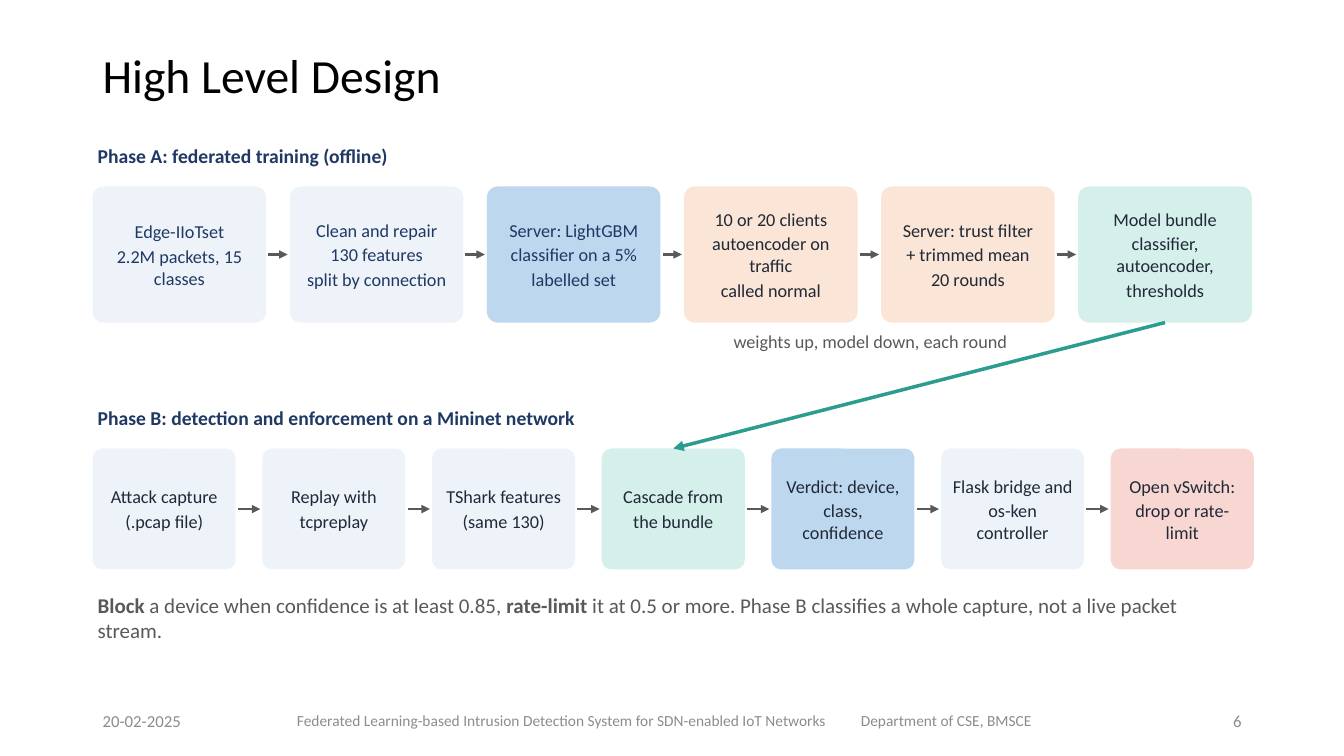
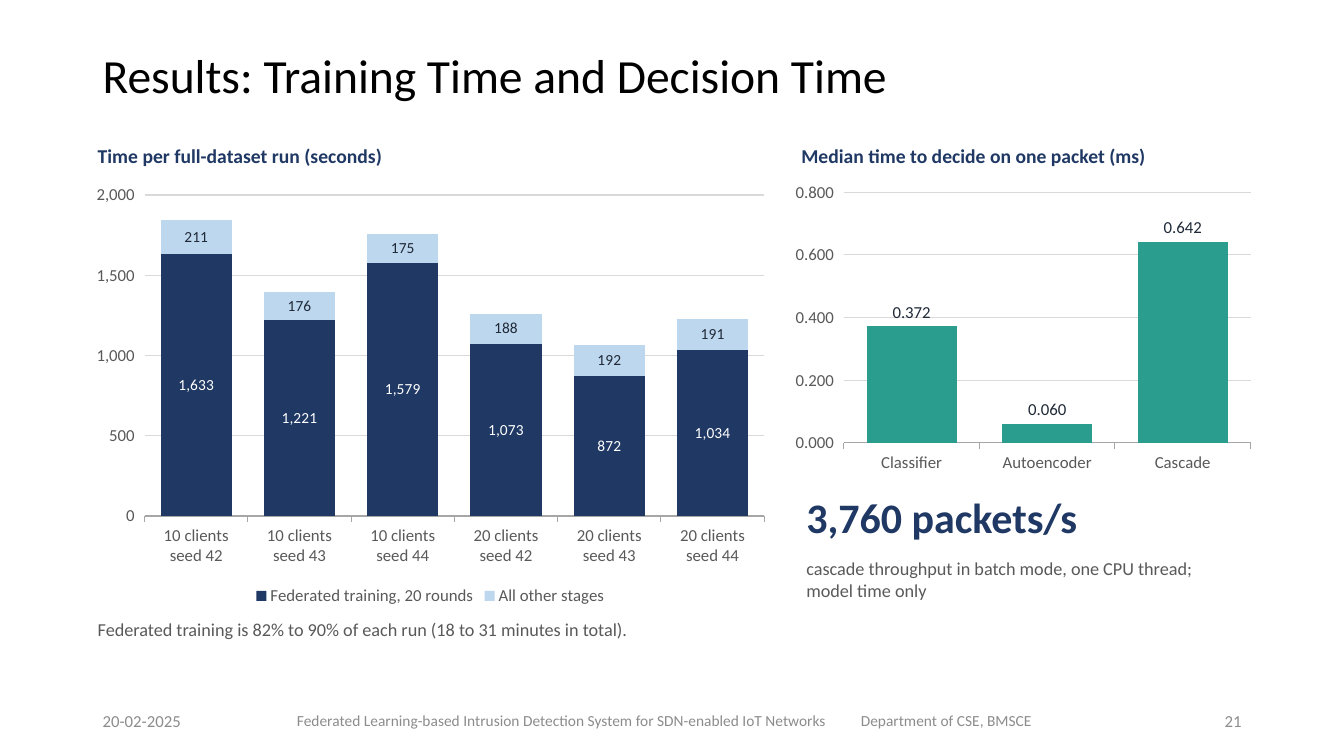
from lxml import etree
from pptx import Presentation
from pptx.chart.data import CategoryChartData
from pptx.dml.color import RGBColor
from pptx.enum.chart import XL_CHART_TYPE as CT, XL_LABEL_POSITION as LP, XL_LEGEND_POSITION
from pptx.enum.shapes import MSO_CONNECTOR as MC, MSO_SHAPE as MS
from pptx.enum.text import MSO_ANCHOR as MA, PP_ALIGN as PA
from pptx.oxml.ns import qn
from pptx.util import Pt

FONT = "Calibri"
NAVY, INK, GREY, MUTED = "1F3864", "1F2937", "595959", "8C8C8C"
TEAL, BLUE, PALE = "2A9D8F", "BDD7EE", "EEF3FA"
PEACH, MINT, ROSE = "FBE5D6", "D5EFEA", "F8D7D3"
AXIS, GRID = "A6A6A6", "D9D9D9"
LEFT, HEAD_Y = 66.2, 100.8
TIGHT = (3.6, 2.2)
ROOMY = (7.2, 3.6)

PHASE_A = [
    ("Edge-IIoTset\n2.2M packets, 15 classes", PALE, NAVY),
    ("Clean and repair\n130 features\nsplit by connection", PALE, NAVY),
    ("Server: LightGBM\nclassifier on a 5%\nlabelled set", BLUE, NAVY),
    ("10 or 20 clients\nautoencoder on traffic\ncalled normal", PEACH, INK),
    ("Server: trust filter\n+ trimmed mean\n20 rounds", PEACH, INK),
    ("Model bundle\nclassifier, autoencoder,\nthresholds", MINT, INK),
]
PHASE_B = [
    ("Attack capture\n(.pcap file)", PALE, INK),
    ("Replay with\ntcpreplay", PALE, INK),
    ("TShark features\n(same 130)", PALE, INK),
    ("Cascade from\nthe bundle", MINT, INK),
    ("Verdict: device,\nclass, confidence", BLUE, INK),
    ("Flask bridge and\nos-ken controller", PALE, INK),
    ("Open vSwitch:\ndrop or rate-limit", ROSE, INK),
]
RULE = [("Block", True), (" a device when confidence is at least 0.85, ", False),
        ("rate-limit", True),
        (" it at 0.5 or more. Phase B classifies a whole capture, not a live packet stream.", False)]


def rgb(value):
    """Turn a hex string into a colour."""
    return RGBColor.from_string(value)


def style(font, size, color, bold=False):
    """Set the face, size, colour and weight of a font."""
    font.name, font.size, font.bold = FONT, Pt(size), bold
    font.color.rgb = rgb(color)


def frame(sp, inset, anchor):
    """Prepare a wrapping text frame with even insets."""
    tf = sp.text_frame
    tf.word_wrap, tf.vertical_anchor = True, anchor
    tf.margin_left = tf.margin_right = Pt(inset[0])
    tf.margin_top = tf.margin_bottom = Pt(inset[1])
    return tf


def format_text(tf, size, color, bold=False, align=PA.LEFT, after=0):
    """Format every paragraph and run of a text frame."""
    for p in tf.paragraphs:
        p.alignment, p.space_after = align, Pt(after)
        for r in p.runs:
            style(r.font, size, color, bold)


def add_text(s, text, x, y, w, h, size, color, bold=False, align=PA.LEFT,
             inset=TIGHT, anchor=MA.TOP):
    """Add a text box and return its frame."""
    sp = s.shapes.add_textbox(Pt(x), Pt(y), Pt(w), Pt(h))
    tf = frame(sp, inset, anchor)
    tf.text = text
    format_text(tf, size, color, bold, align)
    return tf


def add_heading(s, text, x, y, w):
    """Add a bold navy section heading."""
    add_text(s, text, x, y, w, 28.8, 14, NAVY, True)


def add_slide(prs, title, number):
    """Add a blank slide with its title and footer."""
    s = prs.slides.add_slide(prs.slide_layouts[6])
    tf = add_text(s, title, LEFT, 21.6, 785, 68.4, 34, "000000", inset=ROOMY, anchor=MA.MIDDLE)
    tf.paragraphs[0].line_spacing = 0.9
    for text, x, w, size, align in (
        ("20-02-2025", LEFT, 130, 12, PA.LEFT),
        ("Federated Learning-based Intrusion Detection System for SDN-enabled IoT Networks",
         205, 400, 11, PA.LEFT),
        ("Department of CSE, BMSCE", 607.8, 150, 11, PA.LEFT),
        (str(number), 794, 100, 12, PA.RIGHT),
    ):
        add_text(s, text, x, 500.4, w, 28.8, size, MUTED, align=align, inset=ROOMY, anchor=MA.MIDDLE)
    return s


def add_arrow(s, x1, y1, x2, y2, color, width):
    """Add a straight arrow without a shadow."""
    cx = s.shapes.add_connector(MC.STRAIGHT, Pt(x1), Pt(y1), Pt(x2), Pt(y2))
    cx.line.color.rgb, cx.line.width = rgb(color), Pt(width)
    etree.SubElement(cx.line._get_or_add_ln(), qn("a:tailEnd"), type="triangle")
    etree.SubElement(cx._element.spPr, qn("a:effectLst"))
    return cx


def add_box(s, text, x, y, w, h, fill, color):
    """Add a rounded step box."""
    sp = s.shapes.add_shape(MS.ROUNDED_RECTANGLE, Pt(x), Pt(y), Pt(w), Pt(h))
    sp.adjustments[0] = 0.08
    sp.shadow.inherit = False
    sp.fill.solid()
    sp.fill.fore_color.rgb = rgb(fill)
    sp.line.fill.background()
    tf = frame(sp, (5.8, 2.9), MA.MIDDLE)
    tf.text = text
    format_text(tf, 13, color, align=PA.CENTER, after=2)
    return sp


def add_flow(s, steps, y, w, h, gap):
    """Add a row of step boxes joined by short arrows."""
    boxes = []
    for i, (text, fill, color) in enumerate(steps):
        x = LEFT + i * (w + gap)
        if i:
            add_arrow(s, x - gap + 1.5, y + h / 2, x - 1.5, y + h / 2, GREY, 2)
        boxes.append(add_box(s, text, x, y, w, h, fill, color))
    return boxes


def add_columns(s, kind, box, cats, series, axis, gap, label_size, label_pos=None):
    """Add a column chart; each series is name, values, fill and label colour."""
    top, step, fmt = axis
    data = CategoryChartData()
    data.categories = cats
    for name, values, _, _ in series:
        data.add_series(name, values)
    chart = s.shapes.add_chart(kind, *map(Pt, box), data).chart
    style(chart.font, 12, GREY)
    chart.has_title = chart.has_legend = False
    plot = chart.plots[0]
    plot.gap_width, plot.vary_by_categories = gap, False
    if kind == CT.COLUMN_STACKED:
        plot.overlap = 100
    ca, va = chart.category_axis, chart.value_axis
    ca.format.line.color.rgb, ca.format.line.width = rgb(AXIS), Pt(0.75)
    va.minimum_scale, va.maximum_scale, va.major_unit = 0, top, step
    va.format.line.fill.background()
    grid = va.major_gridlines.format.line
    grid.color.rgb, grid.width = rgb(GRID), Pt(0.75)
    va.tick_labels.number_format, va.tick_labels.number_format_is_linked = fmt, False
    for ax in (ca, va):
        style(ax.tick_labels.font, 12, GREY)
    for ser, (_, _, fill, label_color) in zip(plot.series, series):
        ser.format.fill.solid()
        ser.format.fill.fore_color.rgb = rgb(fill)
        labels = ser.data_labels
        labels.show_value = True
        labels.number_format, labels.number_format_is_linked = fmt, False
        style(labels.font, label_size, label_color)
        if label_pos is not None:
            labels.position = label_pos
    return chart


def build_design(prs):
    """Build the two-phase design slide."""
    s = add_slide(prs, "High Level Design", 6)
    add_heading(s, "Phase A: federated training (offline)", LEFT, HEAD_Y, 432)
    training = add_flow(s, PHASE_A, 133.2, 124, 97.2, 16.8)
    add_text(s, "weights up, model down, each round", 489, 234, 265, 28.8, 13, GREY, align=PA.CENTER)
    add_heading(s, "Phase B: detection and enforcement on a Mininet network", LEFT, 288, 576)
    detection = add_flow(s, PHASE_B, 320.4, 102.2, 86.4, 19)
    handover = add_arrow(s, 832, 230, 481, 320, TEAL, 2.5)
    handover.begin_connect(training[-1], 2)
    handover.end_connect(detection[3], 0)
    tf = add_text(s, "", LEFT, 421.2, 828, 64.8, 15, GREY)
    for text, bold in RULE:
        r = tf.paragraphs[0].add_run()
        r.text = text
        style(r.font, 15, GREY, bold)


def build_results(prs):
    """Build the training and decision time slide."""
    s = add_slide(prs, "Results: Training Time and Decision Time", 21)
    add_heading(s, "Time per full-dataset run (seconds)", LEFT, HEAD_Y, 475)
    cats = [f"{n} clients\nseed {seed}" for n in (10, 20) for seed in (42, 43, 44)]
    chart = add_columns(
        s, CT.COLUMN_STACKED, (59, 126, 496.8, 309.6), cats,
        [("Federated training, 20 rounds", (1633, 1221, 1579, 1073, 872, 1034), NAVY, "FFFFFF"),
         ("All other stages", (211, 176, 175, 188, 192, 191), BLUE, INK)],
        (2000, 500, "#,##0"), 45, 11)
    chart.has_legend = True
    chart.legend.position = XL_LEGEND_POSITION.BOTTOM
    chart.legend.include_in_layout = False
    style(chart.legend.font, 12, GREY)
    add_text(s, "Federated training is 82% to 90% of each run (18 to 31 minutes in total).",
             LEFT, 439.2, 475, 54, 13, GREY)
    add_heading(s, "Median time to decide on one packet (ms)", 568.8, HEAD_Y, 324)
    add_columns(
        s, CT.COLUMN_CLUSTERED, (561.6, 126, 338.4, 216), ["Classifier", "Autoencoder", "Cascade"],
        [("Median time (ms)", (0.372, 0.06, 0.642), TEAL, INK)],
        (0.8, 0.2, "0.000"), 50, 12, LP.OUTSIDE_END)
    add_text(s, "3,760 packets/s", 572.4, 349.2, 316.8, 50.4, 30, NAVY, True)
    add_text(s, "cascade throughput in batch mode, one CPU thread; model time only",
             572.4, 396, 316.8, 57.6, 13, GREY)


def main():
    """Build and save the presentation."""
    prs = Presentation()
    prs.slide_width, prs.slide_height = Pt(960), Pt(540)
    build_design(prs)
    build_results(prs)
    prs.save("out.pptx")


if __name__ == "__main__":
    main()
